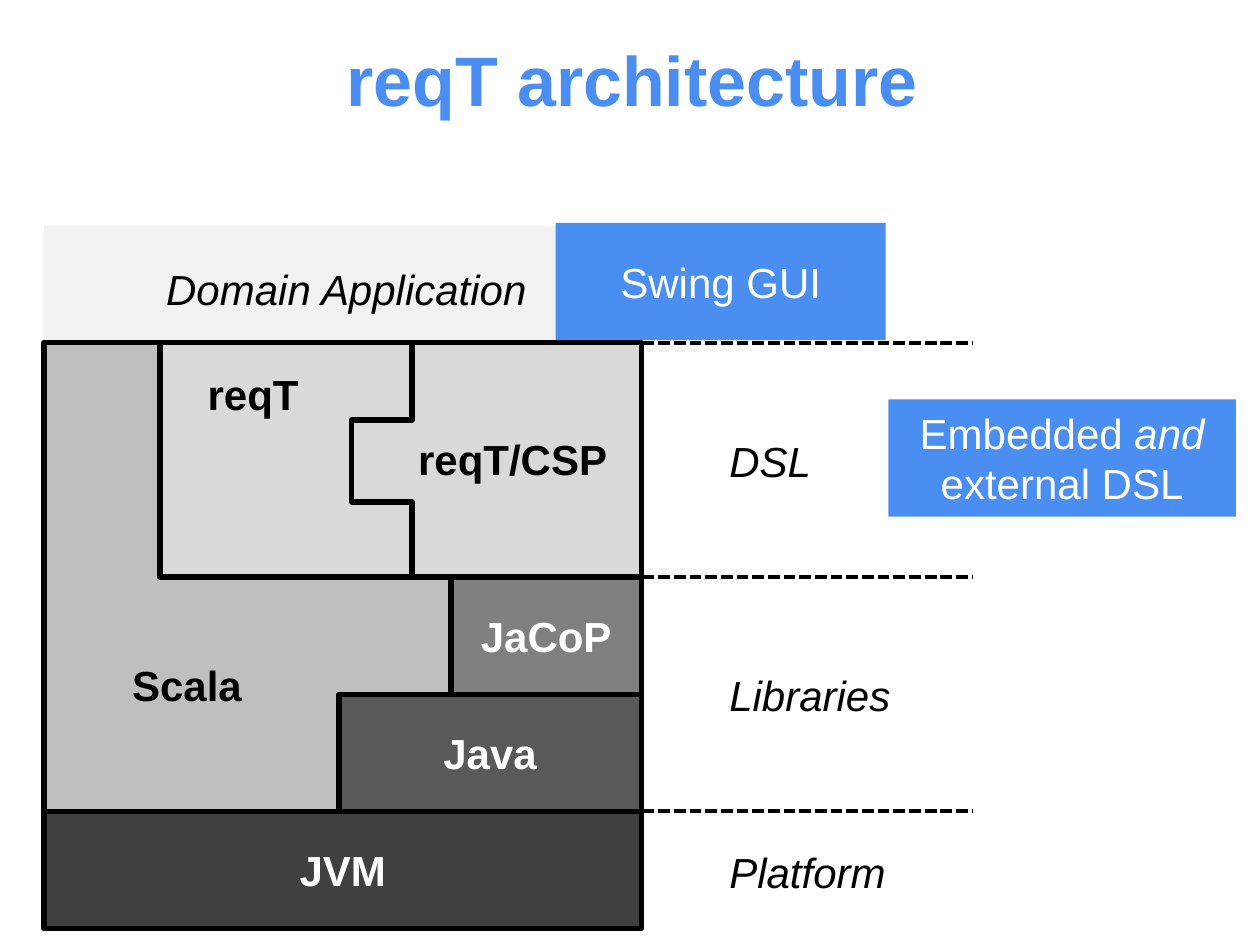
from lxml import etree
from pptx import Presentation
from pptx.dml.color import RGBColor
from pptx.enum.dml import MSO_LINE
from pptx.enum.shapes import MSO_CONNECTOR, MSO_SHAPE
from pptx.enum.text import MSO_ANCHOR, MSO_AUTO_SIZE, PP_ALIGN
from pptx.oxml.ns import qn
from pptx.util import Inches, Pt

RECTANGLE = MSO_SHAPE.RECTANGLE
STRAIGHT = MSO_CONNECTOR.STRAIGHT
DASH = MSO_LINE.SQUARE_DOT
MIDDLE = MSO_ANCHOR.MIDDLE
CENTER = PP_ALIGN.CENTER
FIT_SHAPE = MSO_AUTO_SIZE.SHAPE_TO_FIT_TEXT

BLACK = RGBColor(0x00, 0x00, 0x00)
WHITE = RGBColor(0xFF, 0xFF, 0xFF)
BLUE = RGBColor(0x4A, 0x8E, 0xF2)
DOMAIN_GRAY = RGBColor(0xF2, 0xF2, 0xF2)
REQT_GRAY = RGBColor(0xD9, 0xD9, 0xD9)
SCALA_GRAY = RGBColor(0xBF, 0xBF, 0xBF)
JACOP_GRAY = RGBColor(0x80, 0x80, 0x80)
JAVA_GRAY = RGBColor(0x59, 0x59, 0x59)
JVM_GRAY = RGBColor(0x40, 0x40, 0x40)

ROW = 0.93
LABEL_HEIGHT = 0.5
STACK = (0.35, 1.79, 4.74, 6 * ROW)
LAYERS = (5.1, 1.79 + ROW, 2.62, 5 * ROW)


def set_font(paragraph, color, size=24, bold=None, italic=None):
    """Format a whole paragraph in Arial."""
    font = paragraph.font
    font.name, font.size = "Arial", Pt(size)
    font.bold, font.italic = bold, italic
    font.color.rgb = color


def add_block(slide, box, fill, text="", outlined=True):
    """Add a filled rectangle with centred white text and return its paragraph."""
    shape = slide.shapes.add_shape(RECTANGLE, *map(Inches, box))
    shape.shadow.inherit = False
    shape.fill.solid()
    shape.fill.fore_color.rgb = fill
    if outlined:
        shape.line.color.rgb = BLACK
        shape.line.width = Pt(3)
    else:
        shape.line.fill.background()
    frame = shape.text_frame
    frame.word_wrap = True
    frame.vertical_anchor = MIDDLE
    paragraph = frame.paragraphs[0]
    paragraph.text = text
    paragraph.alignment = CENTER
    set_font(paragraph, WHITE, bold=outlined)
    return paragraph


def add_label(slide, left, top, width, text, bold=None, italic=None):
    """Add a one-line black label."""
    box = map(Inches, (left, top, width, LABEL_HEIGHT))
    frame = slide.shapes.add_textbox(*box).text_frame
    frame.word_wrap = False
    frame.auto_size = FIT_SHAPE
    frame.text = text
    set_font(frame.paragraphs[0], BLACK, bold=bold, italic=italic)


def add_title(slide, box, text):
    """Fill and place the title placeholder."""
    title = slide.shapes.title
    title.left, title.top, title.width, title.height = map(Inches, box)
    title.text_frame.text = text
    title.text_frame.vertical_anchor = MIDDLE
    paragraph = title.text_frame.paragraphs[0]
    paragraph.alignment = CENTER
    set_font(paragraph, BLUE, size=40, bold=True)


def add_stack(slide, box):
    """Draw the nested blocks of the software stack on six equal rows."""
    left, top, width, height = box
    row = height / 6
    blocks = [
        (0, 0, width, 1, DOMAIN_GRAY, "", False),
        (0, 1, 3.23, 4, SCALA_GRAY, "", True),
        (0, 5, width, 1, JVM_GRAY, "JVM", True),
        (2.34, 4, width - 2.34, 1, JAVA_GRAY, "Java", True),
        (3.23, 3, width - 3.23, 1, JACOP_GRAY, "JaCoP", True),
        (0.92, 1, width - 0.92, 2, REQT_GRAY, "", True),
    ]
    for offset, start, block_width, rows, fill, text, outlined in blocks:
        block = (left + offset, top + start * row, block_width, rows * row)
        add_block(slide, block, fill, text, outlined)
    add_label(slide, left + 0.6, top + 3.65 * row, 1.08, "Scala", bold=True)
    add_label(slide, left + 1.2, top + 1.17 * row, 0.93, "reqT", bold=True)
    add_label(slide, left + 2.87, top + 1.72 * row, 1.72, "reqT/CSP", bold=True)
    add_label(slide, left + 0.87, top + 0.27 * row, 3.09, "Domain Application", italic=True)
    add_puzzle_edge(slide, (left + 2.44, top + row, 0.48, 2 * row))


def add_puzzle_edge(slide, box):
    """Draw the notched border between reqT and reqT/CSP."""
    left, top, width, height = box
    right, upper, lower = left + width, top + 0.33 * height, top + 0.68 * height
    points = [(right, top + height), (right, lower), (left, lower),
              (left, upper), (right, upper), (right, top)]
    corners = [(Inches(x), Inches(y)) for x, y in points]
    builder = slide.shapes.build_freeform(*corners[0])
    builder.add_line_segments(corners[1:], close=False)
    edge = builder.convert_to_shape()
    edge.shadow.inherit = False
    edge.fill.background()
    edge.line.color.rgb = BLACK
    edge.line.width = Pt(3)


def add_layers(slide, box):
    """Draw the dashed layer borders and the layer names on five rows."""
    left, top, width, height = box
    row = height / 5
    layers = [(0, 0.74, 0.86, "DSL"), (2, 2.74, 1.5, "Libraries"), (4, 4.25, 1.46, "Platform")]
    for border, label, label_width, name in layers:
        y = Inches(top + border * row)
        line = slide.shapes.add_connector(STRAIGHT, Inches(left), y, Inches(left + width), y)
        line.line.color.rgb = BLACK
        line.line.width = Pt(2.25)
        line.line.dash_style = DASH
        etree.SubElement(line._element.spPr, qn("a:effectLst"))
        add_label(slide, left + 0.59, top + label * row, label_width, name, italic=True)


def add_dsl_callout(slide, box):
    """Add the blue note on the DSL, with one word in italics."""
    paragraph = add_block(slide, box, BLUE, outlined=False)
    for text, italic in [("Embedded ", False), ("and ", True), ("external DSL", False)]:
        run = paragraph.add_run()
        run.text = text
        run.font.italic = italic


def main():
    """Build and save the architecture slide."""
    presentation = Presentation()
    presentation.slide_width, presentation.slide_height = Inches(10), Inches(7.5)
    slide = presentation.slides.add_slide(presentation.slide_layouts[5])
    add_title(slide, (0.59, 0, 8.85, 1.25), "reqT architecture")
    add_stack(slide, STACK)
    add_layers(slide, LAYERS)
    add_block(slide, (4.41, 1.77, 2.62, ROW), BLUE, "Swing GUI", outlined=False)
    add_dsl_callout(slide, (7.05, 3.17, 2.76, ROW))
    presentation.save("out.pptx")


if __name__ == "__main__":
    main()
